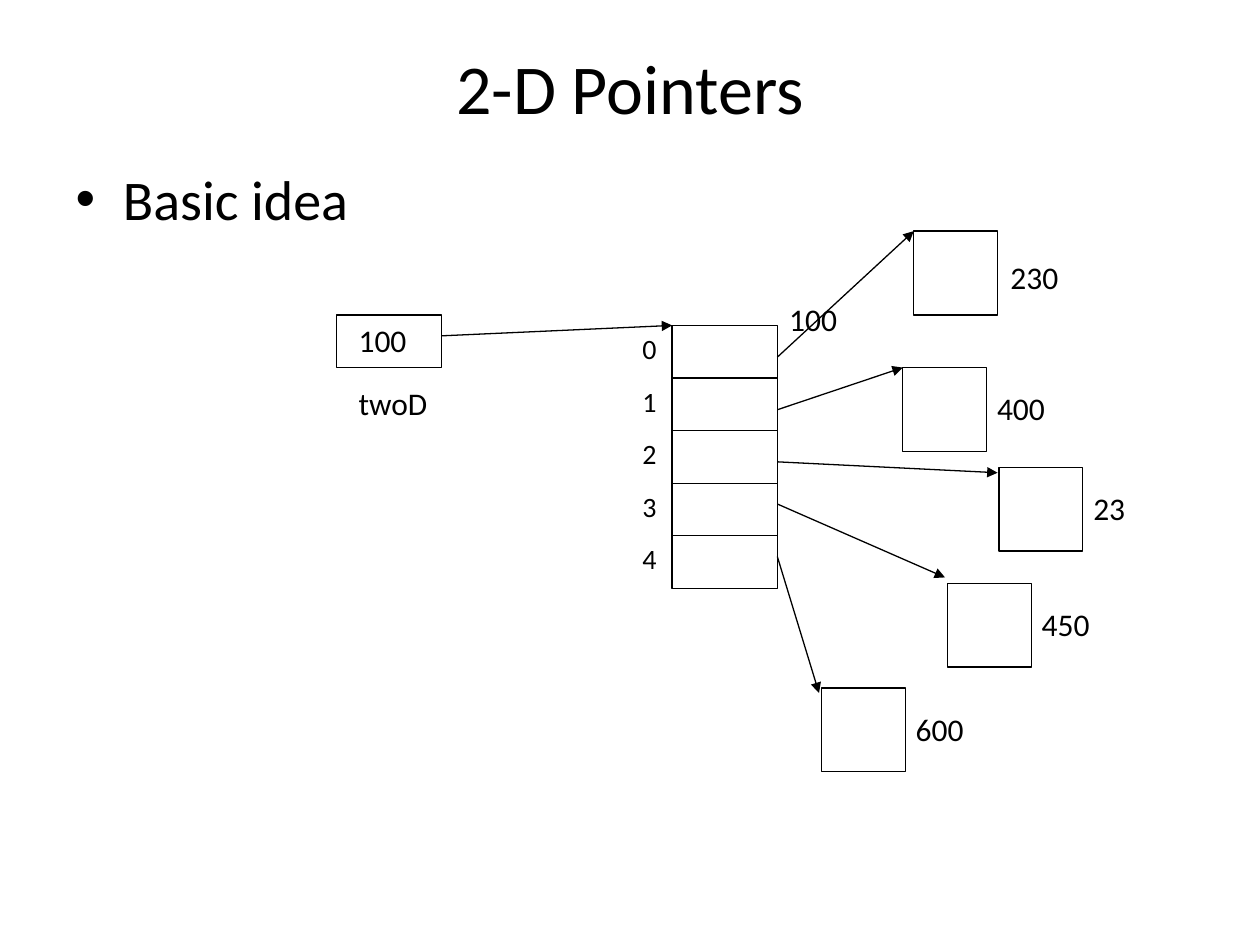
from pptx import Presentation
from pptx import util as u
from pptx.dml.color import RGBColor
from pptx.enum import shapes, text
from pptx.oxml.ns import qn
from lxml import etree

# Content; all lengths in cm
TITLE = "2-D Pointers"
BULLET = "Basic idea"
INK = "000000"
FONT = "Calibri"

POINTER = (6.78, 6.35, 2.12, 1.06)
ARRAY_X, ARRAY_Y, CELL_W, CELL_H = 13.55, 6.56, 2.12, 1.06
INDEX_X = 12.7
SIDE = 1.69

LABELS = [  # text, left, top, width
    ("twoD", 6.98, 7.62, 1.96),
    ("100", 6.98, 6.35, 1.57),
    ("100", 15.66, 5.93, 1.57),
]
TARGETS = [  # value, box corner, label offset, arrow start y, arrow tip
    ("230", (18.42, 4.66), (1.7, 0.42), 7.2, (18.42, 4.66)),
    ("400", (18.2, 7.41), (1.65, 0.31), 8.26, (18.2, 7.41)),
    ("23", (20.14, 9.42), (1.65, 0.31), 9.31, (20.11, 9.53)),
    ("450", (19.1, 11.76), (1.65, 0.31), 10.16, (19.05, 11.64)),
    ("600", (16.56, 13.87), (1.65, 0.31), 11.22, (16.51, 13.97)),
]

prs = Presentation()
prs.slide_width, prs.slide_height = u.Cm(25.4), u.Cm(19.05)
s = prs.slides.add_slide(prs.slide_layouts[1])


def color(value):
    return RGBColor.from_string(value)


def cm(*lengths):
    return [u.Cm(length) for length in lengths]


def write(tf, words, size):
    tf.text = words
    p = tf.paragraphs[0]
    p.space_before = u.Pt(0)
    for r in p.runs:
        r.font.name, r.font.size = FONT, u.Pt(size)
        r.font.color.rgb = color(INK)
    return p


def fill_placeholder(sp, box, words, size):
    sp.left, sp.top, sp.width, sp.height = cm(*box)
    return write(sp.text_frame, words, size)


def label(words, x, y, w, h=1.02, size=18):
    tf = s.shapes.add_textbox(*cm(x, y, w, h)).text_frame
    tf.word_wrap = False
    tf.auto_size = text.MSO_AUTO_SIZE.SHAPE_TO_FIT_TEXT
    write(tf, words, size)


def outline(shape):
    shape.line.color.rgb = color(INK)
    shape.line.width = u.Pt(0.75)


def rect(x, y, w, h):
    sp = s.shapes.add_shape(shapes.MSO_SHAPE.RECTANGLE, *cm(x, y, w, h))
    sp.shadow.inherit = False
    sp.fill.background()
    outline(sp)


def line(x1, y1, x2, y2, arrow=False):
    c = s.shapes.add_connector(shapes.MSO_CONNECTOR.STRAIGHT, *cm(x1, y1, x2, y2))
    outline(c)
    if arrow:
        etree.SubElement(c.line._get_or_add_ln(), qn("a:tailEnd"), type="triangle")
    etree.SubElement(c._element.spPr, qn("a:effectLst"))


# Title and bullet
title = fill_placeholder(s.shapes.title, (1.27, 0.76, 22.86, 1.98), TITLE, 40)
title.alignment = text.PP_ALIGN.CENTER
fill_placeholder(s.placeholders[1], (1.27, 3.18, 23.06, 2.34), BULLET, 32)

# Pointer variable and its address
rect(*POINTER)
for item in LABELS:
    label(*item)
line(POINTER[0] + POINTER[2], 6.77, ARRAY_X, ARRAY_Y, arrow=True)

# Array of pointers
array_right = ARRAY_X + CELL_W
rect(ARRAY_X, ARRAY_Y, CELL_W, CELL_H * len(TARGETS))
for i in range(len(TARGETS)):
    y = ARRAY_Y + i * CELL_H
    if i:
        line(ARRAY_X, y, array_right, y)
    label(str(i), INDEX_X, y, 0.81, 0.94, 16)

# Boxes pointed to
for value, (x, y), (dx, dy), start_y, tip in TARGETS:
    rect(x, y, SIDE, SIDE)
    label(value, x + dx, y + dy, 1.22 if len(value) == 2 else 1.57)
    line(array_right, start_y, *tip, arrow=True)

prs.save("out.pptx")
